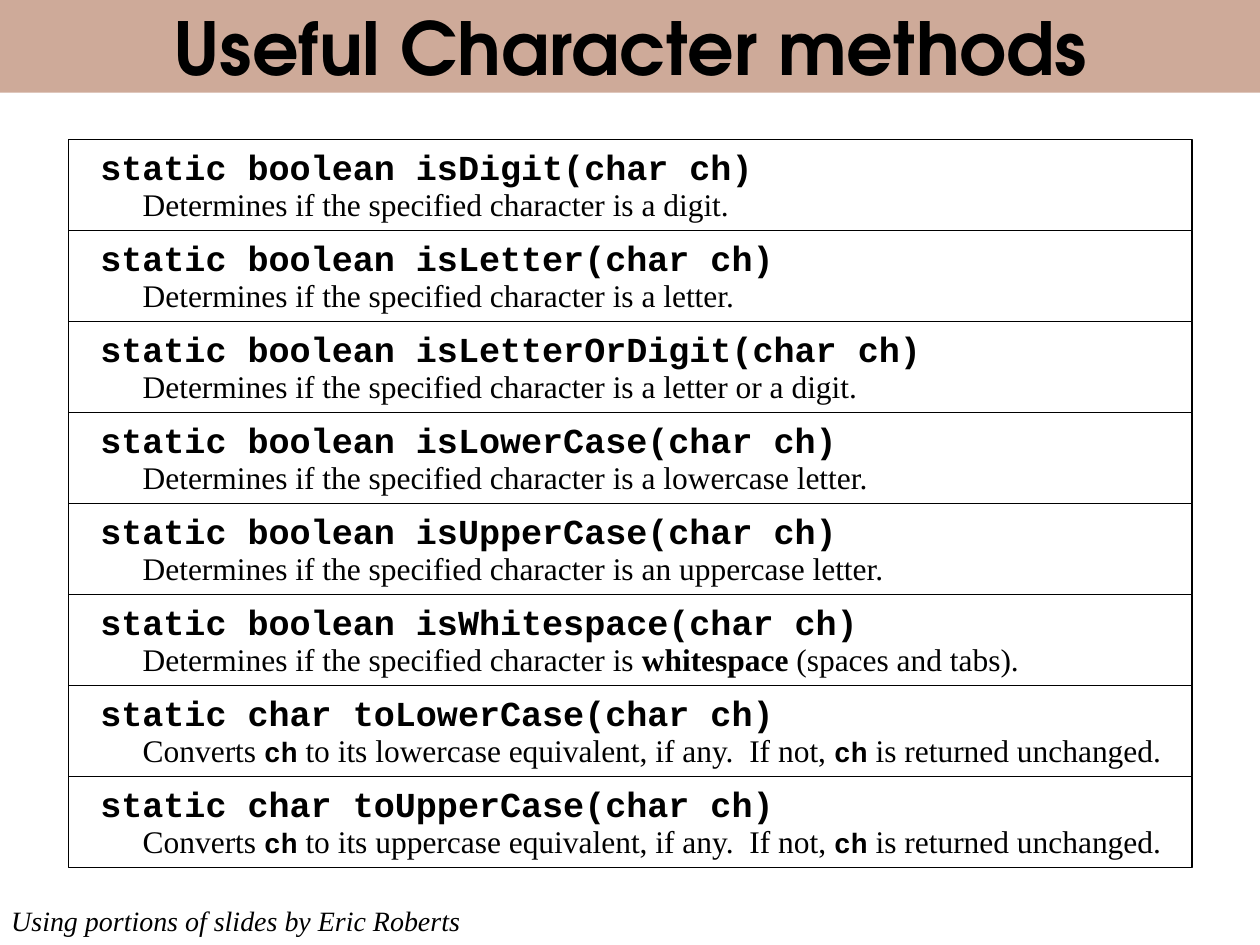
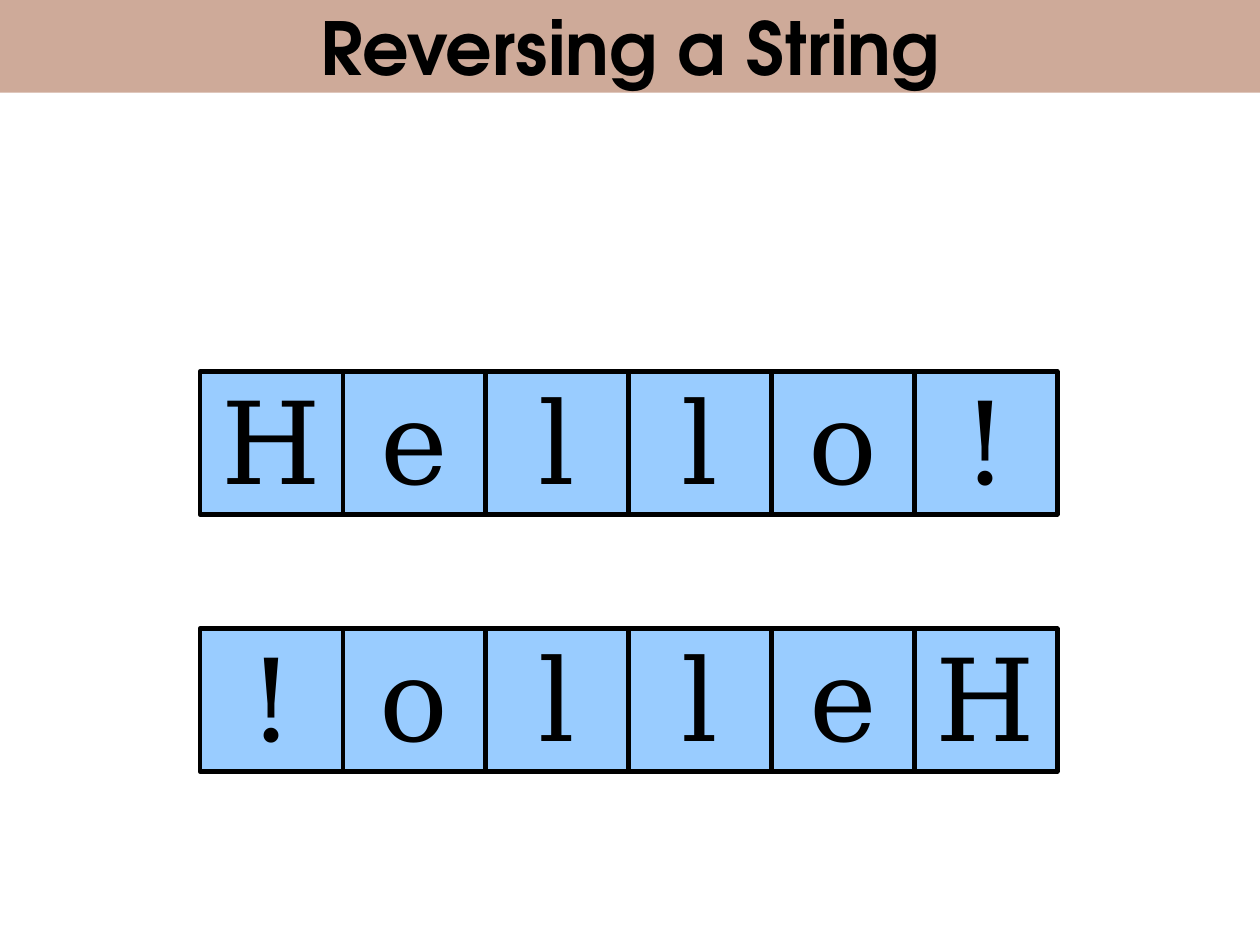
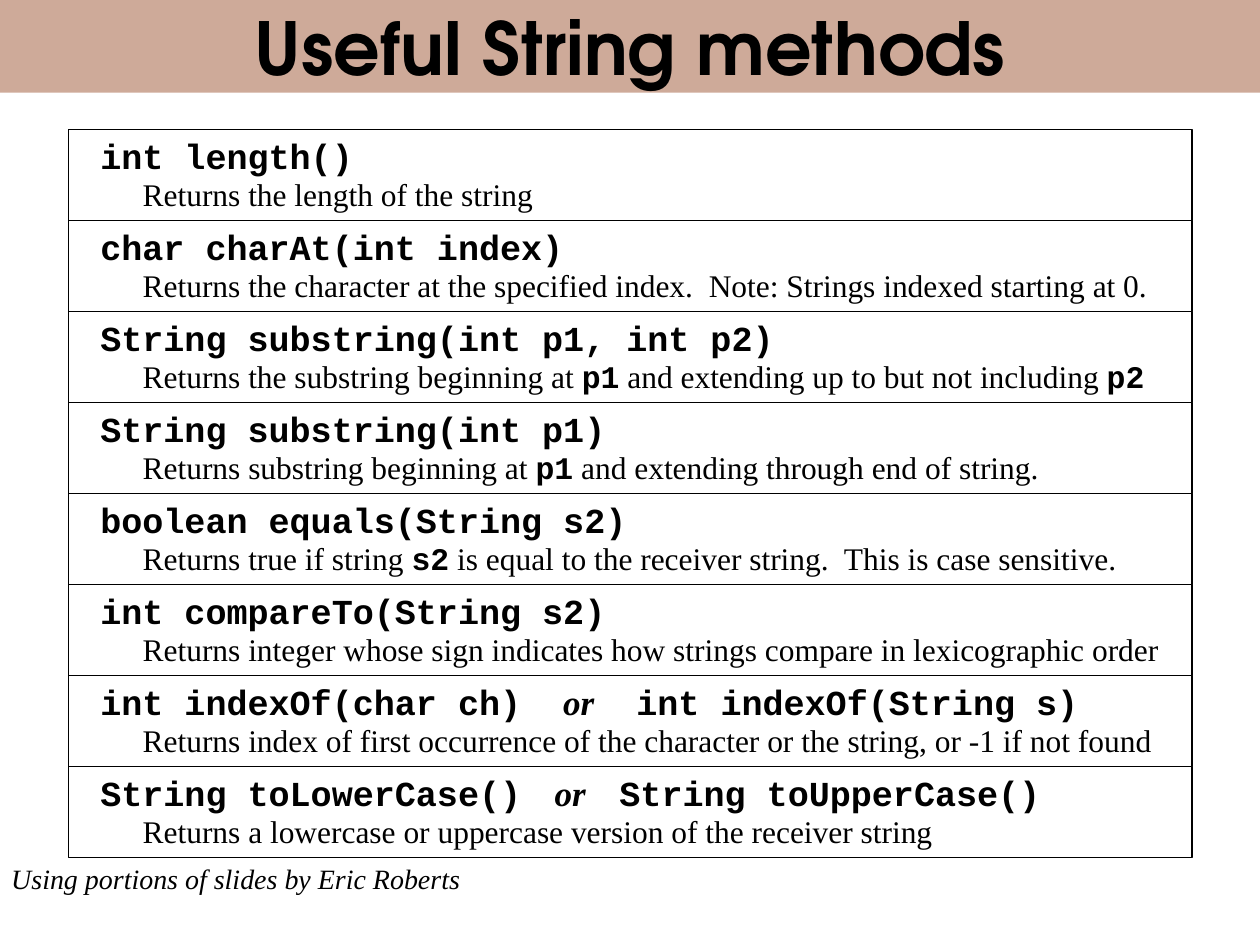
"""Build three slides on the methods of characters and strings."""
from lxml import etree
from pptx import Presentation
from pptx import util as u
from pptx.dml.color import RGBColor
from pptx.enum import shapes, text
from pptx.oxml import ns

HUES = {"band": "C29580", "cell": "99CCFF", "ink": "000000", "page": "FFFFFF"}
SERIF, MONO = "Times New Roman", "Courier New"
LOOKS = {
    "title": {"name": "TeX Gyre Adventor", "size": 46, "bold": True},
    "head": {"name": MONO, "size": 22.1, "bold": True},
    "or": {"name": SERIF, "size": 22.1, "bold": True, "italic": True},
    "gap": {"name": MONO, "size": 17.6},
    "body": {"name": SERIF, "size": 19.8},
    "bold": {"name": SERIF, "size": 19.8, "bold": True},
    "code": {"name": MONO, "size": 19.8, "bold": True},
    "small": {"name": MONO, "size": 17.6, "bold": True},
    "note": {"name": SERIF, "size": 17.6, "italic": True},
    "letter": {"name": "DejaVu Serif", "size": 72},
}
TITLES = ["Useful Character methods", "Reversing a String", "Useful String methods"]
NOTE = "Using portions of slides by Eric Roberts"
TEST = "Determines if the specified character is "
WORD = "Hello!"
SIDE = 1.25
PITCH = 6.37 / 8


def write(frame, look, *parts):
    """Add runs to a frame; a part is a string or a (string, look) pair."""
    for part in parts:
        words, kind = (part, look) if isinstance(part, str) else part
        run = frame.paragraphs[0].add_run()
        run.text = words
        for key, val in LOOKS[kind].items():
            setattr(run.font, key, u.Pt(val) if key == "size" else val)
        run.font.color.rgb = RGBColor.from_string(HUES["ink"])


def place(host, spot, hue=None, width=0):
    """Add a filled and outlined rectangle, or a text box when no hue is given."""
    spot = [u.Inches(part) for part in spot]
    if hue is None:
        box = host.add_textbox(*spot)
        box.text_frame.word_wrap = True
        box.text_frame.auto_size = text.MSO_AUTO_SIZE.SHAPE_TO_FIT_TEXT
        return box
    box = host.add_shape(shapes.MSO_SHAPE.RECTANGLE, *spot)
    box.shadow.inherit = False
    for fill, name in ((box.fill, hue), (box.line.fill, "ink")):
        fill.solid()
        fill.fore_color.rgb = RGBColor.from_string(HUES[name])
    box.line.width = u.Pt(width)
    return box


CHARS = [
    (["static boolean isDigit(char ch)"], [TEST + "a digit."]),
    (["static boolean isLetter(char ch)"], [TEST + "a letter."]),
    (["static boolean isLetterOrDigit(char ch)"], [TEST + "a letter or a digit."]),
    (["static boolean isLowerCase(char ch)"], [TEST + "a lowercase letter."]),
    (["static boolean isUpperCase(char ch)"], [TEST + "an uppercase letter."]),
    (["static boolean isWhitespace(char ch)"],
     [TEST, ("whitespace", "bold"), " (spaces and tabs)."]),
]
for case in ("Lower", "Upper"):
    CHARS.append((
        [f"static char to{case}Case(char ch)"],
        ["Converts ", ("ch", "small"),
         f" to its {case.lower()}case equivalent, if any.  If not, ",
         ("ch", "small"), " is returned unchanged."]))
STRINGS = [
    (["int length()"], ["Returns the length of the string"]),
    (["char charAt(int index)"],
     ["Returns the character at the specified index.  Note: Strings indexed starting at 0."]),
    (["String substring(int p1, int p2)"],
     ["Returns the substring beginning at ", ("p1", "code"),
      " and extending up to but not including ", ("p2", "code")]),
    (["String substring(int p1)"],
     ["Returns substring beginning at ", ("p1", "code"),
      " and extending through end of string."]),
    (["boolean equals(String s2)"],
     ["Returns true if string ", ("s2", "code"),
      " is equal to the receiver string.  This is case sensitive."]),
    (["int compareTo(String s2)"],
     ["Returns integer whose sign indicates how strings compare in lexicographic order"]),
    (["int indexOf(char ch)  ", ("or", "or"), "  int indexOf(String s)"],
     ["Returns index of first occurrence of the character or the string, or -1 if not found"]),
    (["String toLowerCase()", ("  ", "gap"), ("or", "or"), ("  ", "gap"),
      "String toUpperCase()"],
     ["Returns a lowercase or uppercase version of the receiver string"]),
]

deck = Presentation()
deck.slide_width, deck.slide_height = u.Cm(28), u.Cm(21)

pages = []
for name in TITLES:
    page = deck.slides.add_slide(deck.slide_layouts[5])
    pages.append(page)
    band = page.shapes.title
    band.left, band.top, band.width, band.height = 0, 0, deck.slide_width, u.Inches(0.81)
    band.fill.solid()
    band.fill.fore_color.rgb = RGBColor.from_string(HUES["band"])
    tone = band._element.spPr.find(".//" + ns.qn("a:srgbClr"))
    etree.SubElement(tone, ns.qn("a:alpha"), val="80000")
    frame = band.text_frame
    frame.word_wrap = True
    frame.auto_size = text.MSO_AUTO_SIZE.NONE
    frame.vertical_anchor = text.MSO_ANCHOR.MIDDLE
    frame.paragraphs[0].alignment = text.PP_ALIGN.CENTER
    write(frame, "title", name)

for page, rows, top, foot in ((pages[0], CHARS, 1.22, 7.86), (pages[2], STRINGS, 1.13, 7.49)):
    for row, (head, body) in enumerate(rows):
        high = top + row * PITCH
        group = page.shapes.add_group_shape().shapes
        place(group, (0.6, high, 9.83, 0.8), "page", 0.75)
        write(place(group, (0.78, high, 9.46, 0.45)).text_frame, "head", *head)
        write(place(group, (1.15, high + 0.35, 9.19, 0.41)).text_frame, "body", *body)
    write(place(page.shapes, (0, foot, 5.97, 0.38)).text_frame, "note", NOTE)

for top, word in ((3.25, WORD), (5.5, WORD[::-1])):
    for col, mark in enumerate(word):
        box = place(pages[1].shapes, (1.75 + col * SIDE, top, SIDE, SIDE), "cell", 2.89)
        frame = box.text_frame
        frame.word_wrap = False
        frame.vertical_anchor = text.MSO_ANCHOR.MIDDLE
        for side, room in {"left": 0.12, "right": 0.12, "top": 0.09, "bottom": 0.07}.items():
            setattr(frame, "margin_" + side, u.Inches(room))
        frame.paragraphs[0].alignment = text.PP_ALIGN.CENTER
        frame.paragraphs[0].line_spacing = 0.98
        write(frame, "letter", mark)

deck.save("out.pptx")
